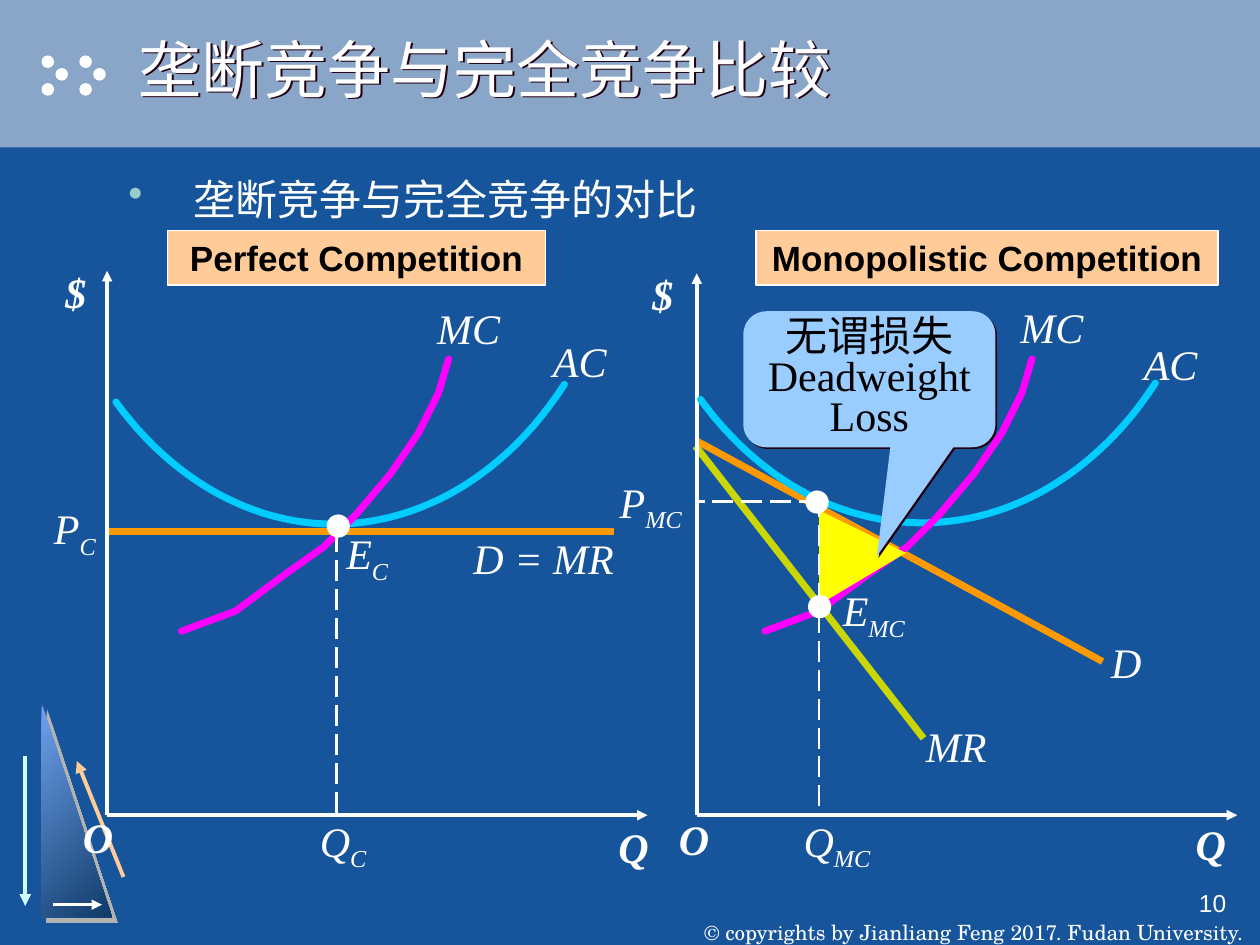
from lxml.etree import SubElement
from pptx import Presentation
from pptx.dml.color import RGBColor
from pptx.enum.dml import MSO_LINE
from pptx.enum.shapes import MSO_CONNECTOR, MSO_SHAPE
from pptx.enum.text import MSO_ANCHOR, PP_ALIGN
from pptx.oxml.ns import qn
from pptx.util import Inches, Pt

NAVY = RGBColor(0x16, 0x55, 0x9B)
STEEL = RGBColor(0x89, 0xA5, 0xC7)
WHITE = RGBColor(0xFF, 0xFF, 0xFF)
BLACK = RGBColor(0x00, 0x00, 0x00)
SKY = RGBColor(0x6F, 0xA2, 0xED)
DEEP = RGBColor(0x0F, 0x3A, 0x68)
ICE = RGBColor(0xCC, 0xFF, 0xFF)
PEACH = RGBColor(0xFF, 0xCC, 0x99)
ORANGE = RGBColor(0xFF, 0x99, 0x00)
LIME = RGBColor(0xCA, 0xD7, 0x04)
CYAN = RGBColor(0x00, 0xCC, 0xFF)
MAGENTA = RGBColor(0xFF, 0x00, 0xFF)
YELLOW = RGBColor(0xFF, 0xFF, 0x00)
PALE = RGBColor(0x99, 0xCC, 0xFF)
MINT = RGBColor(0x99, 0xCC, 0xCC)
GRAY = RGBColor(0xB2, 0xB2, 0xB2)
PLUM = RGBColor(0x22, 0x00, 0x11)
SERIF = "Times New Roman"

prs = Presentation()
prs.slide_width, prs.slide_height = Inches(10), Inches(7.5)
CELL = prs.slide_width // 100
s = prs.slides.add_slide(prs.slide_layouts[6])
s.background.fill.solid()
s.background.fill.fore_color.rgb = NAVY


def add_box(text, at, shape=None, fill=None, line=None, font=SERIF, size=24,
            color=WHITE, bold=False, italic=False, sub="", align=PP_ALIGN.LEFT,
            anchor=MSO_ANCHOR.TOP, wrap=True, spacing=None):
    at = [round(v * CELL) for v in at]
    if shape is None:
        sp = s.shapes.add_textbox(*at)
    else:
        sp = s.shapes.add_shape(shape, *at)
    sp.shadow.inherit = False
    if fill is not None:
        sp.fill.solid()
        sp.fill.fore_color.rgb = fill
    if line is None:
        sp.line.fill.background()
    else:
        sp.line.color.rgb = line
        sp.line.width = Pt(1)
    tf = sp.text_frame
    tf.word_wrap = wrap
    tf.vertical_anchor = anchor
    p = tf.paragraphs[0]
    p.alignment = align
    p.line_spacing = spacing
    for part in filter(None, (text, sub)):
        r = p.add_run()
        r.text = part
        r.font.name, r.font.size = font, Pt(size)
        r.font.bold, r.font.italic = bold, italic
        r.font.color.rgb = color
    if sub:
        r._r.get_or_add_rPr().set("baseline", "-25000")
    return sp


def add_line(x1, y1, x2, y2, color=WHITE, width=2, arrow=False, dash=None):
    ends = [round(v * CELL) for v in (x1, y1, x2, y2)]
    c = s.shapes.add_connector(MSO_CONNECTOR.STRAIGHT, *ends)
    c.line.color.rgb = color
    c.line.width = Pt(width)
    c.line.dash_style = dash
    if arrow:
        SubElement(c.line._get_or_add_ln(), qn("a:tailEnd"), type="triangle")
    SubElement(c._element.spPr, qn("a:effectLst"))


add_box("", (0, 0, 100, 11.7), MSO_SHAPE.RECTANGLE, STEEL)
for x in (3.3, 6.3):
    for dx, y in ((0, 4.4), (1.1, 5.4), (0, 6.6)):
        add_box("", (x + dx, y, 1, 1), MSO_SHAPE.OVAL, WHITE)

wedge = add_box("", (3.3, 55.8, 5.6, 17), MSO_SHAPE.RIGHT_TRIANGLE)
wedge.fill.gradient()
wedge.fill.gradient_angle = 315
for stop, color in zip(wedge.fill.gradient_stops, (SKY, DEEP)):
    stop.color.rgb = color
add_line(2, 60, 2, 71.9, ICE, 2.25, arrow=True)
add_line(9.8, 69.6, 6.1, 60.4, PEACH, 2.25, arrow=True)
add_line(4.2, 71.8, 8.1, 71.8, WHITE, 1.5, arrow=True)

footer = add_box("© copyrights by Jianliang Feng 2017. Fudan University.", (54.6, 70, 45.4, 5),
                 font="TeX Gyre Schola", size=12, align=PP_ALIGN.CENTER,
                 anchor=MSO_ANCHOR.BOTTOM, wrap=False)
footer.text_frame.margin_top = footer.text_frame.margin_bottom = 0
add_box("10", (77.5, 70, 20.8, 5), font="Arial", size=14, align=PP_ALIGN.RIGHT)
title = add_box("垄断竞争与完全竞争比较", (10, 0, 90, 10.8), font="Arial", size=36,
                anchor=MSO_ANCHOR.MIDDLE)

body = add_box("垄断竞争与完全竞争的对比", (9.2, 13.3, 81.7, 50))
pPr = body.text_frame.paragraphs[0]._p.get_or_add_pPr()
pPr.set("marL", str(Inches(0.52)))
pPr.set("indent", str(-Inches(0.52)))
SubElement(SubElement(pPr, qn("a:buClr")), qn("a:srgbClr"), val=str(MINT))
SubElement(pPr, qn("a:buChar"), char="•")

add_line(8.6, 42.2, 48.7, 42.2, ORANGE, 4)
add_line(55.3, 35, 87.5, 52.5, ORANGE, 4)
add_line(55.2, 35.4, 73.3, 58.6, LIME, 4)

for name, x, w in (("Perfect Competition", 13.3, 30), ("Monopolistic Competition", 60, 36.7)):
    add_box(name, (x, 18.3, w, 4.3), MSO_SHAPE.RECTANGLE, PEACH, WHITE, font="Arial",
            size=20, color=BLACK, bold=True, align=PP_ALIGN.CENTER, anchor=MSO_ANCHOR.MIDDLE)
for x, top, right in ((8.5, 21.5, 51.4), (55.3, 21.7, 98.2)):
    add_line(x, 64.7, x, top, arrow=True)
    add_line(x, 64.7, right, 64.7, arrow=True)

average_costs = [
    [(44.8, 30.5), (40.3, 37.5), (33.6, 41.6), (26.5, 41.6), (20, 41.6), (13.7, 38.1), (9.2, 31.9)],
    [(91.7, 30.4), (87.1, 37.5), (80.3, 41.5), (73.2, 41.5), (66.5, 41.5), (60.2, 38), (55.6, 31.7)],
]
marginal_cost = [(14.4, 50.1), (18.7, 48.5), (22.6, 45.6), (25.7, 43.4), (28.2, 40.9),
                 (31, 37.6), (33.2, 34.4), (34.8, 31.2), (35.6, 28.5)]
STEPS = 24
for knots, shift in zip(average_costs, (0, 46.3)):
    arc = [knots[0]]
    for start in (0, 3):
        for step in range(1, STEPS + 1):
            t = step / STEPS
            weights = ((1 - t) ** 3, 3 * t * (1 - t) ** 2, 3 * t * t * (1 - t), t ** 3)
            arc.append([sum(w * k[axis] for w, k in zip(weights, knots[start:start + 4]))
                        for axis in (0, 1)])
    rise = [(x + shift, y) for x, y in marginal_cost]
    for points, color in ((arc, CYAN), (rise, MAGENTA)):
        dots = [(round(x * 100), round(y * 100)) for x, y in points]
        fb = s.shapes.build_freeform(*dots[0], scale=CELL / 100)
        fb.add_line_segments(dots[1:], close=False)
        curve = fb.convert_to_shape()
        curve.shadow.inherit = False
        curve.fill.background()
        curve.line.color.rgb = color
        curve.line.width = Pt(4)
        curve.line._get_or_add_ln().set("cap", "rnd")

loss = add_box("", (64.7, 40.8, 7.5, 6.9), MSO_SHAPE.ISOSCELES_TRIANGLE, YELLOW)
loss.rotation = 90
loss.adjustments[0] = 0.45
callout = add_box("无谓损失Deadweight Loss", (59, 24.7, 20, 10.8),
                  MSO_SHAPE.ROUNDED_RECTANGULAR_CALLOUT, PALE, color=BLACK,
                  align=PP_ALIGN.CENTER, anchor=MSO_ANCHOR.MIDDLE, spacing=0.8)
for i, value in enumerate((0.03, 1.3, 0.17)):
    callout.adjustments[i] = value

for sp, color, dist in ((wedge, GRAY, 4.2), (title, PLUM, 1.4), (callout, PLUM, 1.4)):
    effects = sp._element.spPr.find(qn("a:effectLst"))
    shadow = SubElement(effects, qn("a:outerShdw"), dist=str(Pt(dist)), dir="2700000", algn="ctr")
    SubElement(shadow, qn("a:srgbClr"), val=str(color))

for ends in ((26.7, 64.5, 26.7, 41.7), (65, 64, 65, 39.6), (65.1, 39.8, 55.2, 39.8)):
    add_line(*ends, width=1.5, dash=MSO_LINE.LONG_DASH)
for x, y in ((26, 40.9), (64, 39), (64.2, 47.3)):
    add_box("", (x, y, 1.7, 1.7), MSO_SHAPE.OVAL, WHITE, WHITE)

for text, sub, x, y, w in (
    ("D = MR", "", 36.6, 41.8, 13.6), ("D", "", 87.2, 50, 4.4), ("MR", "", 72.5, 56.7, 7),
    ("AC", "", 42.9, 26.1, 6.7), ("AC", "", 89.8, 26.4, 6.7),
    ("MC", "", 33.7, 23.5, 7.2), ("MC", "", 80, 23.4, 7.2),
    ("Q", "C", 24.4, 64.2, 5.7), ("P", "C", 3.3, 39.4, 5.3), ("E", "C", 26.5, 41.4, 5.3),
    ("Q", "MC", 62.8, 64.2, 7.3), ("P", "MC", 48.2, 37.3, 6.9), ("E", "MC", 65.9, 45.9, 6.9),
):
    add_box(text, (x, y, w, 5.5 if sub else 5), sub=sub, italic=True, wrap=False)
for text, x, y, w in (
    ("$", 4.2, 20.7, 3.6), ("O", 5.6, 63.9, 4.4), ("Q", 48.1, 64.7, 4.4),
    ("$", 50.8, 20.8, 3.6), ("O", 52.9, 64.1, 4.4), ("Q", 93.9, 64.5, 4.4),
):
    add_box(text, (x, y, w, 5), bold=True, italic=True, wrap=False)

prs.save("out.pptx")
